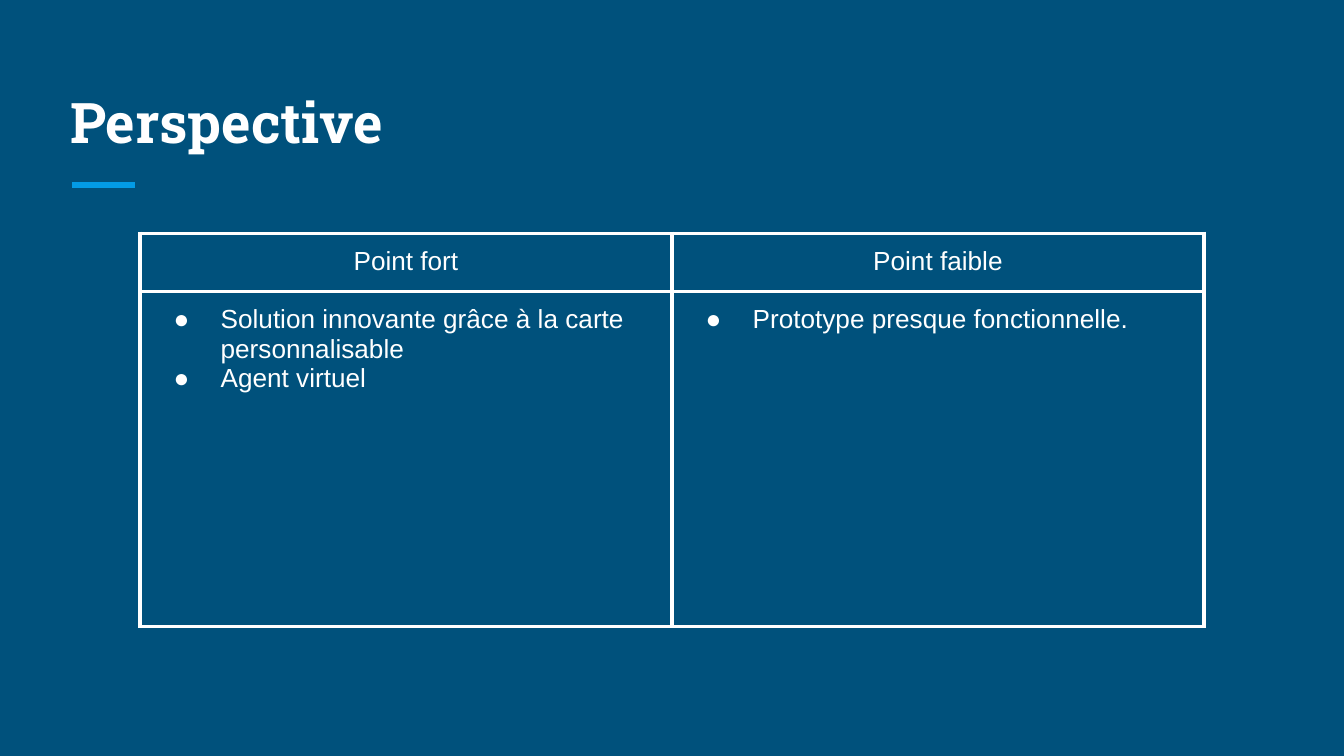
"""Build the Perspective slide with its table of strong and weak points."""
from dataclasses import dataclass

from lxml.etree import SubElement
from pptx import Presentation
from pptx.dml.color import RGBColor
from pptx.enum.text import MSO_ANCHOR, MSO_AUTO_SIZE, PP_ALIGN
from pptx.oxml import parse_xml
from pptx.oxml.ns import nsdecls, qn
from pptx.util import Pt


@dataclass(frozen=True)
class Theme:
    back: str = "00517C"
    text: str = "FFFFFF"
    accent: str = "039BE5"
    head: float = 30
    body: float = 14


def style(item, values):
    for name, value in values.items():
        setattr(item, name, value)


def bullet(para):
    props = para._p.get_or_add_pPr()
    props.set("marL", str(Pt(36)))
    props.set("indent", str(Pt(-25.2)))
    color = SubElement(props, qn("a:buClr"))
    SubElement(color, qn("a:srgbClr"), val=theme.text)
    SubElement(props, qn("a:buFont"), typeface="Arial")
    SubElement(props, qn("a:buChar"), char="●")


theme = Theme()
white = RGBColor.from_string(theme.text)
inset = Pt(7.2)
margins = {f"margin_{side}": inset for side in ("left", "top", "right", "bottom")}

deck = Presentation()
style(deck, {"slide_width": Pt(720), "slide_height": Pt(405)})
slide = deck.slides.add_slide(deck.slide_layouts[5])
slide.background.fill.solid()
slide.background.fill.fore_color.rgb = RGBColor.from_string(theme.back)

rule = slide.shapes.add_connector(1, Pt(38.6), Pt(99), Pt(72.2), Pt(99))
rule.line.width = Pt(3)
rule.line.color.rgb = RGBColor.from_string(theme.accent)
SubElement(rule._element.spPr, qn("a:effectLst"))

title = slide.shapes.title
style(title, {"left": Pt(30.4), "top": Pt(36), "width": Pt(659), "height": Pt(54)})
frame = title.text_frame
frame.text = "Perspective"
style(frame, margins | {
    "vertical_anchor": MSO_ANCHOR.BOTTOM,
    "auto_size": MSO_AUTO_SIZE.NONE,
    "word_wrap": True,
})
para = frame.paragraphs[0]
para.alignment = PP_ALIGN.LEFT
font = para.runs[0].font
style(font, {"name": "Roboto Slab", "size": Pt(theme.head), "bold": True})
font.color.rgb = white

heights = [31.1, 179.4]
rows = [
    ["Point fort", "Point faible"],
    [
        "Solution innovante grâce à la carte personnalisable\nAgent virtuel",
        "Prototype presque fonctionnelle.",
    ],
]
table = slide.shapes.add_table(
    2, 2, Pt(75), Pt(125.1), Pt(570), Pt(sum(heights))
).table
style(table, {"first_row": False, "horz_banding": False})
for row, height, texts in zip(table.rows, heights, rows):
    row.height = Pt(height)
    for cell, text in zip(row.cells, texts):
        cell.text = text
        style(cell, margins | {"vertical_anchor": MSO_ANCHOR.TOP})
        cell.fill.background()
        props = cell._tc.get_or_add_tcPr()
        for spot, side in enumerate("LRTB"):
            props.insert(spot, parse_xml(
                f'<a:ln{side} {nsdecls("a")} w="{Pt(2.25)}"><a:solidFill>'
                f'<a:srgbClr val="{theme.text}"/></a:solidFill></a:ln{side}>'
            ))
        for para in cell.text_frame.paragraphs:
            if texts is rows[0]:
                para.alignment = PP_ALIGN.CENTER
            else:
                para.alignment = PP_ALIGN.LEFT
                bullet(para)
            font = para.runs[0].font
            style(font, {"name": "Arial", "size": Pt(theme.body), "bold": False})
            font.color.rgb = white

deck.save("out.pptx")
